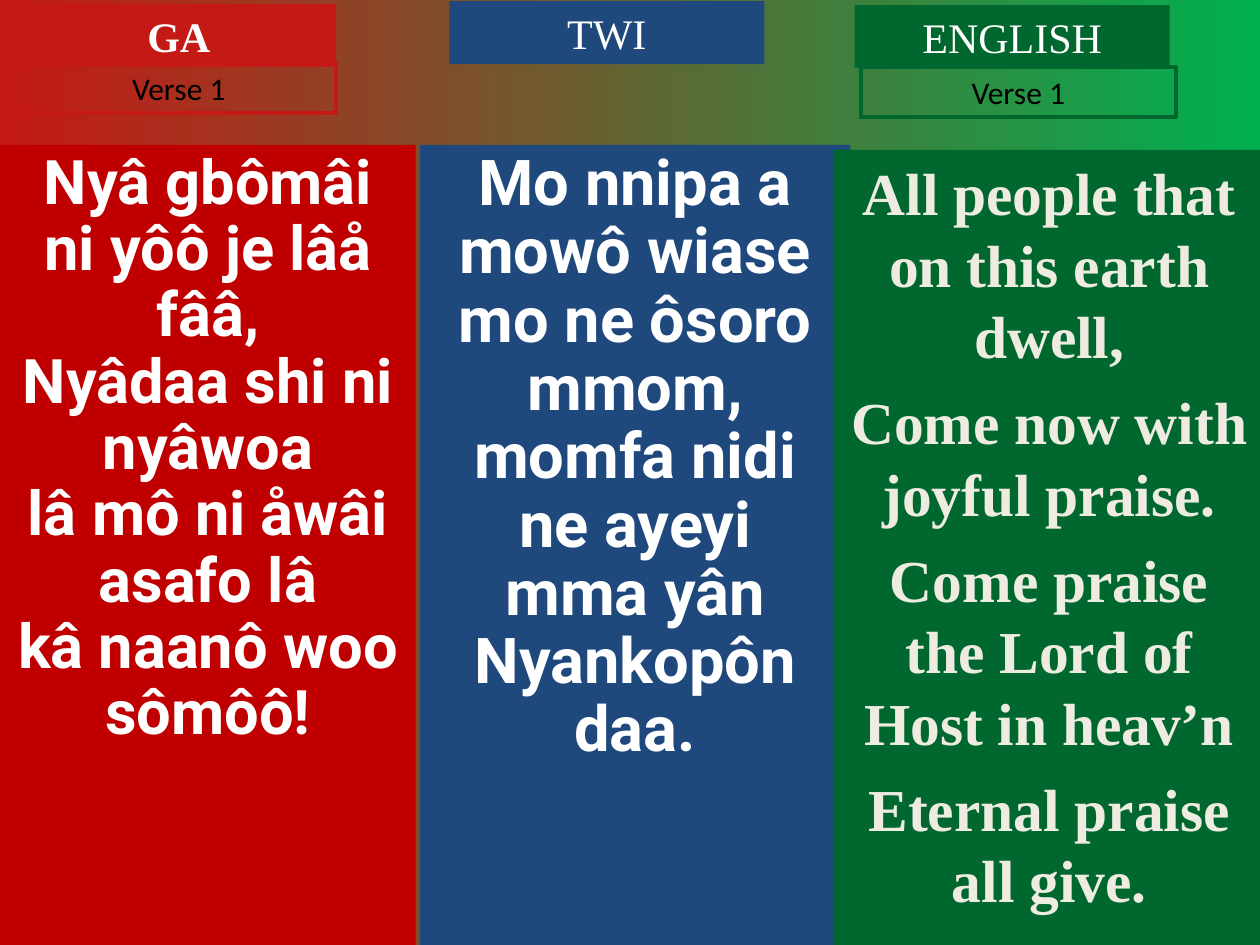
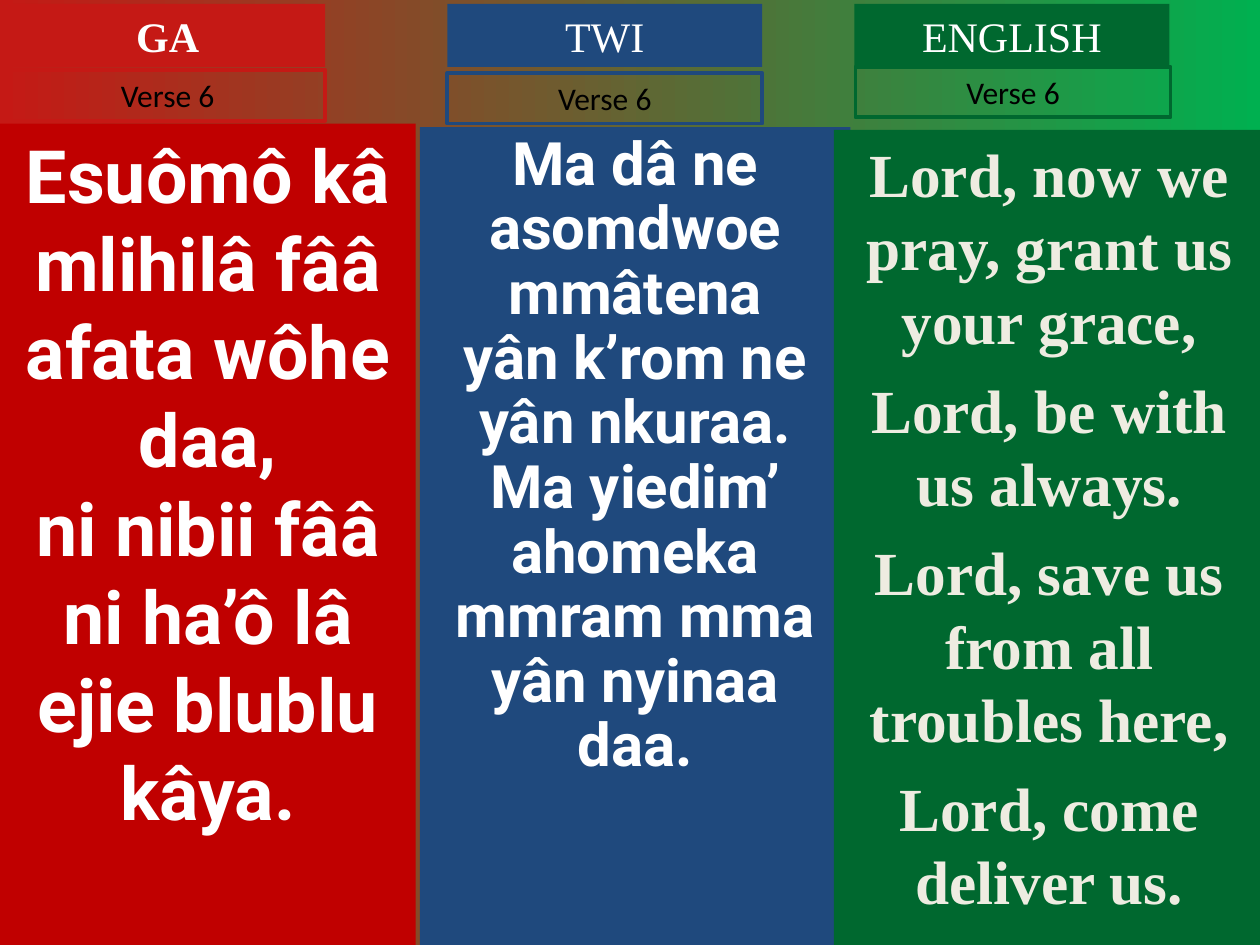
"""Build two hymn slides with Ga, Twi and English verses side by side."""
import pptx
import pptx.dml.color
import pptx.enum.shapes
import pptx.enum.text
import pptx.util

Pt = pptx.util.Pt
COLORS = {
    "ga_head": "C51915", "ga_body": "C00000", "twi": "1F497D", "english": "00682F",
    "meadow": "00B050", "white": "FFFFFF", "cream": "EEECE1", "black": "000000",
}
SLIDE_W, SLIDE_H = 720, 540
HEAD_W, HEAD_H, VERSE_H = 180, 36, 28.8

LANGUAGES = {
    "GA": dict(left=0, width=237.6, body="ga_body", head="ga_head", bold=True,
               text=dict(font="Roboto", color="white")),
    "TWI": dict(left=240, width=246, body="twi", head="twi", bold=False,
                text=dict(font="Roboto", color="white", spacing=0.9)),
    "ENGLISH": dict(left=476.6, width=246, body="english", head="english", bold=False,
                    text=dict(font="Times New Roman", color="cream", before=0.25)),
}

SLIDES = [
    {
        "GA": dict(head_at=(12.2, 2.2), verse="Verse 1", verse_at=(12.2, 36), top=82.8,
                   size=35.1, spacing=0.9, lines=[
                       "Nyâ gbômâi ni yôô je lâå fââ,", "Nyâdaa shi ni nyâwoa",
                       "lâ mô ni åwâi asafo lâ", "kâ naanô woo sômôô!"]),
        "TWI": dict(head_at=(256.8, 0.7), top=82.8, size=36.1, lines=[
            "Mo nnipa a mowô wiase", "mo ne ôsoro mmom,",
            "momfa nidi ne ayeyi", "mma yân Nyankopôn daa."]),
        "ENGLISH": dict(head_at=(488.4, 2.9), verse="Verse 1", verse_at=(491.9, 38.2),
                        top=85.7, size=34, lines=[
                            "All people that on this earth dwell,",
                            "Come now with joyful praise.",
                            "Come praise the Lord of Host in heav’n",
                            "Eternal praise all give."]),
    },
    {
        "GA": dict(head_at=(5.8, 2.2), verse="Verse 6", verse_at=(5.8, 40.2), top=70.6,
                   size=42, lines=[
                       "Esuômô kâ mlihilâ fââ", "afata wôhe daa,",
                       "ni nibii fââ ni ha’ô lâ ejie blublu kâya."]),
        "TWI": dict(head_at=(255.6, 2.2), verse="Verse 6", verse_at=(255.6, 41.8),
                    top=72.7, size=34.2, lines=[
                        "Ma dâ ne asomdwoe mmâtena", "yân k’rom ne yân nkuraa.",
                        "Ma yiedim’ ahomeka", "mmram mma yân nyinaa daa."]),
        "ENGLISH": dict(head_at=(488.2, 2.2), verse="Verse 6", verse_at=(488.9, 38.2),
                        top=74.2, size=35, lines=[
                            "Lord, now we pray, grant us your grace,",
                            "Lord, be with us always.",
                            "Lord, save us from all troubles here,",
                            "Lord, come deliver us."]),
    },
]


def rgb(name):
    return pptx.dml.color.RGBColor.from_string(COLORS[name])


def add_box(s, at, size, fill=None, line=None, grow=False):
    sp = s.shapes.add_shape(pptx.enum.shapes.MSO_SHAPE.RECTANGLE,
                            *(Pt(v) for v in (*at, *size)))
    sp.shadow.inherit = False
    if fill:
        sp.fill.solid()
        sp.fill.fore_color.rgb = rgb(fill)
    else:
        sp.fill.background()
    if line:
        sp.line.color.rgb = rgb(line)
        sp.line.width = Pt(2.25)
    else:
        sp.line.fill.background()
    tf = sp.text_frame
    tf.word_wrap = True
    tf.vertical_anchor = pptx.enum.text.MSO_ANCHOR.TOP
    if grow:
        tf.auto_size = pptx.enum.text.MSO_AUTO_SIZE.SHAPE_TO_FIT_TEXT
    return tf


def write(tf, lines, size, font, color, bold=False, spacing=1.0, before=0):
    for i, line in enumerate(lines):
        p = tf.add_paragraph() if i else tf.paragraphs[0]
        p.alignment = pptx.enum.text.PP_ALIGN.CENTER
        p.space_before = Pt(before * size if i else 0)
        p.line_spacing = spacing
        r = p.add_run()
        r.text = line
        r.font.size = Pt(size)
        r.font.name = font
        r.font.bold = bold
        r.font.color.rgb = rgb(color)


def add_background(s):
    fill = s.background.fill
    fill.gradient()
    fill.gradient_angle = 0
    for stop, color in zip(fill.gradient_stops, ("ga_head", "meadow")):
        stop.color.rgb = rgb(color)


def add_column(s, name, part):
    lang = LANGUAGES[name]
    tf = add_box(s, (lang["left"], part["top"]), (lang["width"], SLIDE_H - part["top"]),
                 fill=lang["body"])
    style = dict(lang["text"])
    if "spacing" in part:
        style["spacing"] = part["spacing"]
    write(tf, part["lines"], part["size"], bold=True, **style)

    tf = add_box(s, part["head_at"], (HEAD_W, HEAD_H), fill=lang["head"], grow=True)
    write(tf, [name], 24, "Times New Roman", "white", bold=lang["bold"])

    if "verse" in part:
        tf = add_box(s, part["verse_at"], (HEAD_W, VERSE_H), line=lang["head"], grow=True)
        write(tf, [part["verse"]], 18, "Calibri", "black")


def main():
    prs = pptx.Presentation()
    prs.slide_width, prs.slide_height = Pt(SLIDE_W), Pt(SLIDE_H)
    for columns in SLIDES:
        s = prs.slides.add_slide(prs.slide_layouts[6])
        add_background(s)
        for name, part in columns.items():
            add_column(s, name, part)
    prs.save("out.pptx")


if __name__ == "__main__":
    main()
